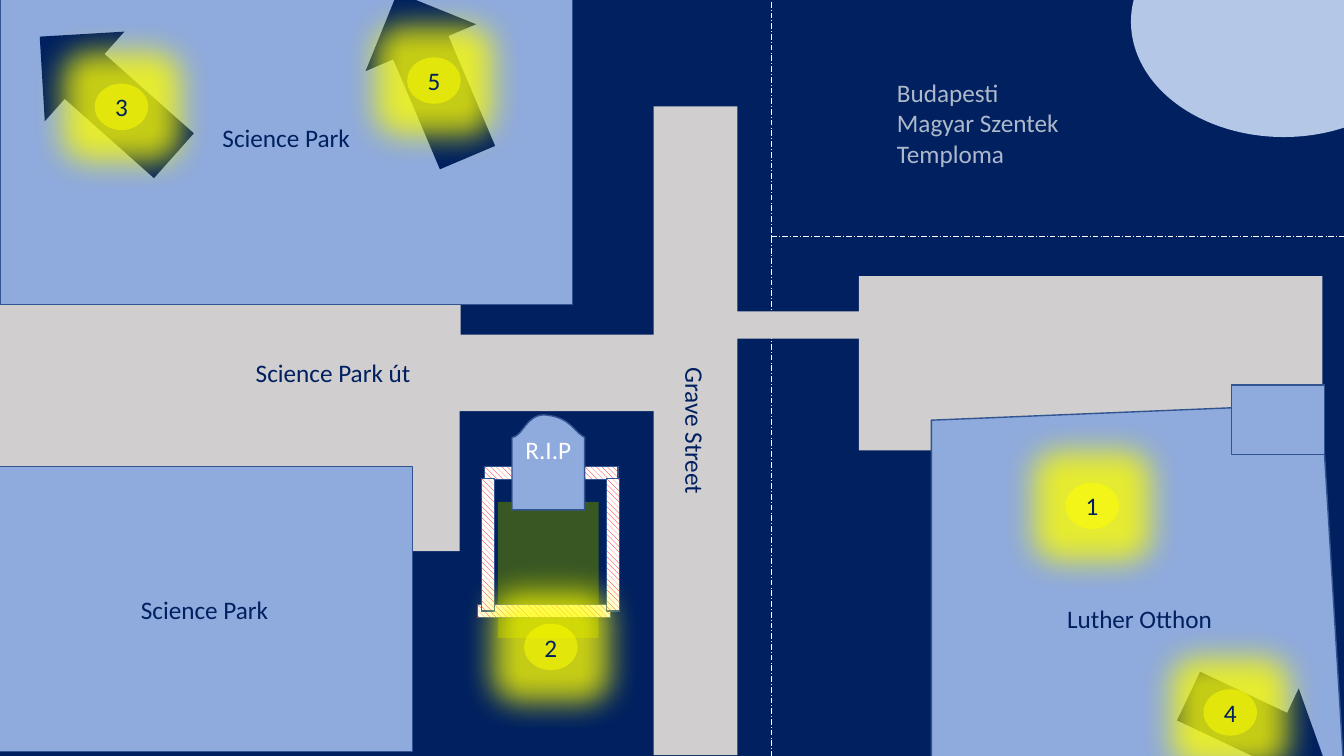
import pptx
import pptx.util
import pptx.dml.color
import pptx.enum.dml
import pptx.enum.shapes
import pptx.enum.text
import pptx.oxml
import pptx.oxml.ns
from lxml import etree

COLORS = {
    "night": "002060", "road": "D0CECE", "building": "8FAADC", "outline": "325491",
    "white": "FFFFFF", "red": "FF0000", "grass": "385723", "pond": "B4C7E7",
    "church": "ADB9CA", "glow": "FFFF00",
}
FONT_NAME = "Calibri"
FONT_SIZE = 18
COLUMNS = 40
SHAPES = pptx.enum.shapes.MSO_SHAPE
ALIGN = pptx.enum.text.PP_ALIGN
ANCHOR = pptx.enum.text.MSO_ANCHOR


def rgb(name):
    return pptx.dml.color.RGBColor.from_string(COLORS[name])


def set_values(target, values):
    for name, value in values.items():
        setattr(target, name, value)


def add_child(parent, tag, **attributes):
    child = etree.SubElement(parent, pptx.oxml.ns.qn(tag))
    for name, value in attributes.items():
        child.set(name, str(value))
    return child


def curve(start, first, second, end, steps=16):
    points = []
    for step in range(1, steps + 1):
        t = step / steps
        weights = ((1 - t) ** 3, 3 * t * (1 - t) ** 2, 3 * t * t * (1 - t), t ** 3)
        corners = (start, first, second, end)
        points.append(tuple(sum(w * corner[axis] for w, corner in zip(weights, corners))
                            for axis in (0, 1)))
    return points


class MapSlide:
    def __init__(self, presentation):
        self.cell = presentation.slide_width / COLUMNS
        self.slide = presentation.slides.add_slide(presentation.slide_layouts[6])
        background = self.slide.background.fill
        background.solid()
        background.fore_color.rgb = rgb("night")

    def lengths(self, values):
        return [round(value * self.cell) for value in values]

    def caption(self, shape, lines, color, align=ALIGN.CENTER, **frame_values):
        frame = shape.text_frame
        set_values(frame, {"vertical_anchor": ANCHOR.MIDDLE, "word_wrap": True, **frame_values})
        for index, line in enumerate(lines):
            paragraph = frame.add_paragraph() if index else frame.paragraphs[0]
            paragraph.alignment = align
            run = paragraph.add_run()
            run.text = line
            set_values(run.font, {"name": FONT_NAME, "size": pptx.util.Pt(FONT_SIZE)})
            run.font.color.rgb = rgb(color)

    def paint(self, shape, fill, outlined):
        shape.shadow.inherit = False
        shape.fill.solid()
        shape.fill.fore_color.rgb = rgb(fill)
        if outlined:
            shape.line.color.rgb = rgb("outline")
            shape.line.width = pptx.util.Pt(1)
        else:
            shape.line.fill.background()

    def area(self, box, fill, kind=SHAPES.RECTANGLE, text=None, outlined=False, rotation=0):
        shape = self.slide.shapes.add_shape(kind, *self.lengths(box))
        shape.rotation = rotation
        self.paint(shape, fill, outlined)
        if text:
            self.caption(shape, [text], "night")
        return shape

    def outline(self, points, text, text_color, **frame_values):
        start, *others = [self.lengths(point) for point in points]
        builder = self.slide.shapes.build_freeform(*start)
        builder.add_line_segments(others, close=True)
        shape = builder.convert_to_shape()
        self.paint(shape, "building", True)
        self.caption(shape, [text], text_color, **frame_values)

    def fence(self, left, top, rotation=0):
        shape = self.area((left, top, 3.96, 0.39), "white", outlined=True, rotation=rotation)
        shape.fill.patterned()
        shape.fill.pattern = pptx.enum.dml.MSO_PATTERN.WIDE_DOWNWARD_DIAGONAL
        shape.fill.fore_color.rgb = rgb("red")
        shape.fill.back_color.rgb = rgb("white")

    def border(self, start, end):
        connector = self.slide.shapes.add_connector(
            pptx.enum.shapes.MSO_CONNECTOR.STRAIGHT, *self.lengths(start + end))
        connector.line.color.rgb = rgb("white")
        set_values(connector.line, {"width": pptx.util.Pt(0.5),
                                    "dash_style": pptx.enum.dml.MSO_LINE.LONG_DASH_DOT})
        add_child(connector._element.spPr, "a:effectLst")

    def badge(self, number, left, top):
        shape = self.area((left, top, 1.59, 1.38), "glow", SHAPES.OVAL, str(number))
        properties = shape._element.spPr
        fill_color = properties.find(".//" + pptx.oxml.ns.qn("a:srgbClr"))
        add_child(fill_color, "a:alpha", val=52000)
        effects = properties.find(pptx.oxml.ns.qn("a:effectLst"))
        glow = add_child(effects, "a:glow", rad=pptx.util.Pt(45))
        glow_color = add_child(glow, "a:srgbClr", val=COLORS["glow"])
        add_child(glow_color, "a:alpha", val=78000)

    def label(self, box, lines, color):
        shape = self.slide.shapes.add_textbox(*self.lengths(box))
        self.caption(shape, lines, color, ALIGN.LEFT, vertical_anchor=ANCHOR.TOP, word_wrap=False,
                     auto_size=pptx.enum.text.MSO_AUTO_SIZE.SHAPE_TO_FIT_TEXT)


presentation = pptx.Presentation()
set_values(presentation, {"slide_width": pptx.util.Inches(13.33),
                          "slide_height": pptx.util.Inches(7.5)})
town = MapSlide(presentation)

for left, top in ((-0.12, 11.94), (-0.09, 6.48)):
    town.area((left, top, 13.8, 4.47), "road")
for box in ((-0.09, 13.89, 12.36, 8.49), (0, -0.9, 17.04, 9.96)):
    town.area(box, "building", text="Science Park", outlined=True)
town.fence(14.43, 13.89)

crossing = (22.95, 7.05)
for end in ((40.92, 7.05), (22.95, 23.28)):
    town.border(crossing, end)

town.area((21.48, 9.27, 4.32, 0.81), "road")
town.area((25.56, 8.22, 13.8, 5.19), "road")
town.outline([(27.72, 12.51), (39.33, 12.03), (40.11, 24.81), (27.72, 24.81)],
             "Luther Otthon", "night")
town.area((36.66, 11.46, 2.76, 2.07), "building", outlined=True)

town.area((14.82, 14.94, 3, 4.05), "grass")
stone_left, stone_top, stone_right = (15.24, 13.02), (16.29, 12.36), (17.4, 13.02)
town.outline([stone_left,
              *curve(stone_left, (15.57, 12.99), (15.69, 12.27), stone_top),
              *curve(stone_top, (16.98, 12.45), (17.04, 12.81), stone_right),
              (17.4, 15.18), (15.24, 15.18)],
             "R.I.P", "white", margin_bottom=pptx.util.Inches(0.31))
town.fence(14.22, 18)
for left in (12.54, 16.26):
    town.fence(left, 16.02, 270)

for box, rotation in (((35.16, 20.07, 4.47, 3.21), 205.3),
                      ((0.51, 1.08, 5.34, 3.57), 41.6),
                      ((10.2, 0.45, 5.34, 3.57), 67)):
    town.area(box, "night", SHAPES.LEFT_ARROW, rotation=rotation)

town.area((11.04, 11.58, 19.32, 2.49), "road", text="Grave Street", rotation=90)
town.area((0, 9.96, 19.83, 2.28), "road", text="Science Park út")
town.border((22.95, 7.56), (22.95, -0.24))
town.area((33.66, -2.79, 9.09, 6.87), "pond", SHAPES.OVAL)
town.label((26.4, 2.16, 5.64, 3.03), ["Budapesti", "Magyar Szentek", "Temploma"], "church")

badge_corners = ((31.71, 14.37), (15.6, 18.57), (2.82, 2.49), (35.82, 20.52), (12.12, 1.71))
for number, corner in enumerate(badge_corners, 1):
    town.badge(number, *corner)

presentation.save("out.pptx")
